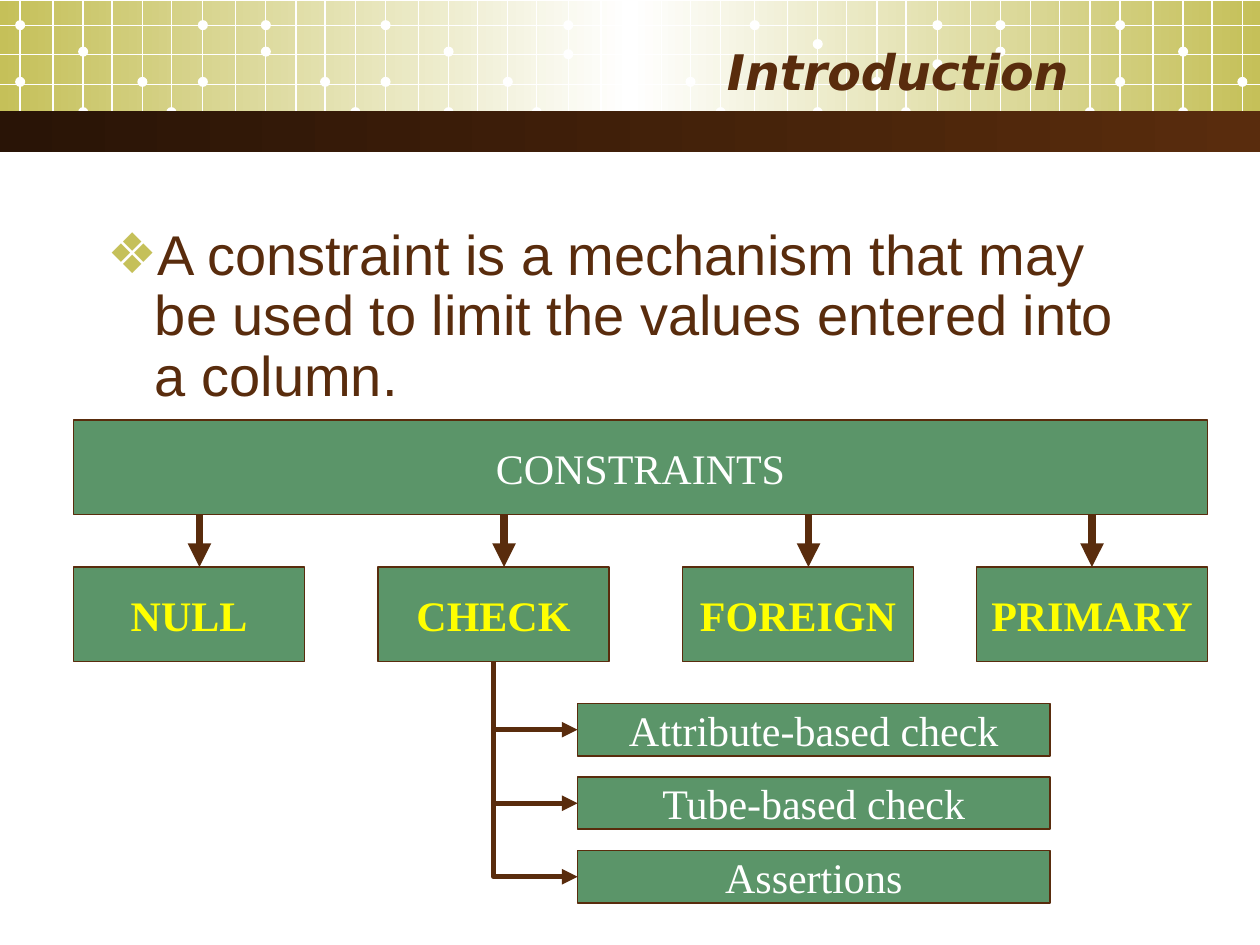
import copy
from dataclasses import dataclass

import pptx
import pptx.dml.color
import pptx.enum.shapes
import pptx.enum.text
import pptx.oxml
import pptx.oxml.ns
import pptx.util

Align = pptx.enum.text.PP_ALIGN
Anchor = pptx.enum.text.MSO_ANCHOR
Shape = pptx.enum.shapes.MSO_SHAPE
Connector = pptx.enum.shapes.MSO_CONNECTOR
qn = pptx.oxml.ns.qn
Inches = pptx.util.Inches


@dataclass(frozen=True)
class Theme:
    brown: str = "592C0D"
    dark_brown: str = "291406"
    olive: str = "C5C059"
    green: str = "5B9569"
    white: str = "FFFFFF"
    yellow: str = "FFFF00"
    title_size: int = 28
    body_size: int = 32
    box_size: int = 24
    title_font: str = "DejaVu Sans"
    body_font: str = "Arial"
    box_font: str = "Times New Roman"


THEME = Theme()

# Header mesh: one tile of columns repeats along the band.
TILE_STARTS = [0.16, 3.06, 5.99, 8.89]
TILE_COLUMNS = [0, 0.26, 0.5, 0.73, 0.97, 1.2, 1.45, 1.71, 1.95, 2.19, 2.42, 2.66]
MESH_ROWS = [0.2, 0.43, 0.67, 0.89]
DOT_ROWS = {0: (0.2, 0.65), 2: (0.41, 0.89), 4: (0.65,), 5: (0.89,),
            6: (0.2, 0.65), 8: (0.2, 0.41), 10: (0.65,), 11: (0.89,)}
DOT_EXCEPTIONS = {(1, 6): (0.2, 0.43), (2, 2): (0.35, 0.89), (2, 6): (0.2, 0.51)}
DOT_SIZE = 0.08


def cells(count):
    """Length of a number of diagram grid cells, twelve to the inch."""
    return Inches(count / 12)


def rgb(value):
    return pptx.dml.color.RGBColor.from_string(value)


def assign(target, **values):
    for name, value in values.items():
        setattr(target, name, value)


def style_run(run, color, **values):
    assign(run.font, **values)
    run.font.color.rgb = rgb(color)


def fill_gradient(shape, colors):
    """Fill from left to right with evenly spaced colour stops."""
    shape.fill.gradient()
    shape.fill.gradient_angle = 0
    stops = shape._element.spPr.find(qn("a:gradFill")).find(qn("a:gsLst"))
    for stop in list(stops):
        stops.remove(stop)
    for index, color in enumerate(colors):
        stop = pptx.oxml.parse_xml(
            f'<a:gs {pptx.oxml.ns.nsdecls("a")} pos="{index * 100000 // (len(colors) - 1)}">'
            f'<a:srgbClr val="{color}"/></a:gs>')
        stops.append(stop)


def add_plain(shapes, preset, bounds, color=None):
    shape = shapes.add_shape(preset, *bounds)
    shape.shadow.inherit = False
    shape.line.fill.background()
    if color:
        shape.fill.solid()
        shape.fill.fore_color.rgb = rgb(color)
    return shape


def add_line(shapes, start, end, color, width, arrow=False, kind=Connector.STRAIGHT):
    line = shapes.add_connector(kind, *start, *end)
    line.line.color.rgb = rgb(color)
    line.line.width = pptx.util.Pt(width)
    if arrow:
        head = line.line._get_or_add_ln().makeelement(qn("a:tailEnd"), {"type": "triangle"})
        line.line._get_or_add_ln().append(head)
    properties = line._element.spPr
    properties.append(properties.makeelement(qn("a:effectLst"), {}))
    return line


def add_elbow(shapes, start, end):
    """Arrow that runs down from start, then right to end."""
    elbow = add_line(shapes, start, end, THEME.brown, 3, True, Connector.ELBOW)
    across, down = end[0] - start[0], end[1] - start[1]
    assign(elbow, left=start[0] + (across - down) // 2,
           top=start[1] + (down - across) // 2, width=down, height=across)
    properties = elbow._element.spPr
    properties.find(qn("a:prstGeom")).set("prst", "bentConnector2")
    turn = properties.find(qn("a:xfrm"))
    turn.set("rot", "16200000")
    turn.set("flipH", "1")


def add_box(shapes, label, column, row, columns, rows, color=THEME.white, bold=False):
    box = add_plain(shapes, Shape.RECTANGLE, map(cells, (column, row, columns, rows)),
                    THEME.green)
    box.line.color.rgb = rgb(THEME.brown)
    box.line.width = pptx.util.Pt(1)
    assign(box.text_frame, word_wrap=False, vertical_anchor=Anchor.MIDDLE)
    paragraph = box.text_frame.paragraphs[0]
    paragraph.alignment = Align.CENTER
    run = paragraph.add_run()
    run.text = label
    style_run(run, color, name=THEME.box_font, size=pptx.util.Pt(THEME.box_size), bold=bold)


def add_header(slide, width):
    band = slide.shapes.add_group_shape()
    mesh = band.shapes
    backdrop = add_plain(mesh, Shape.RECTANGLE, (0, Inches(0.01), width, Inches(1.02)))
    fill_gradient(backdrop, (THEME.olive, THEME.white, THEME.olive))
    for tile, start in enumerate(TILE_STARTS):
        for index, offset in enumerate(TILE_COLUMNS):
            x = start + offset
            if Inches(x) > width:
                break
            add_line(mesh, (Inches(x), 0), (Inches(x), Inches(1.1)), THEME.white, 0.75)
            for y in DOT_EXCEPTIONS.get((tile, index), DOT_ROWS.get(index, ())):
                corner = Inches(x - DOT_SIZE / 2), Inches(y - DOT_SIZE / 2)
                add_plain(mesh, Shape.OVAL, (*corner, Inches(DOT_SIZE), Inches(DOT_SIZE)),
                          THEME.white)
    for y in MESH_ROWS:
        add_line(mesh, (0, Inches(y)), (width, Inches(y)), THEME.white, 0.75)
    bar = add_plain(mesh, Shape.RECTANGLE, (0, Inches(0.88), width, Inches(0.33)))
    fill_gradient(bar, (THEME.dark_brown, THEME.brown))
    slide.shapes._spTree.insert(2, band._element)


def fill_placeholder(holder, text, bounds, anchor, color, **font):
    assign(holder, **dict(zip(("left", "top", "width", "height"), map(Inches, bounds))))
    holder.text_frame.text = text
    assign(holder.text_frame, word_wrap=True, vertical_anchor=anchor,
           auto_size=pptx.enum.text.MSO_AUTO_SIZE.NONE)
    paragraph = holder.text_frame.paragraphs[0]
    style_run(paragraph.runs[0], color, **font)
    return paragraph


def add_bullet(paragraph, symbol, color, indent):
    properties = paragraph._p.get_or_add_pPr()
    properties.set("marL", str(Inches(indent)))
    properties.set("indent", str(-Inches(indent)))
    tint = properties.makeelement(qn("a:buClr"), {})
    tint.append(tint.makeelement(qn("a:srgbClr"), {"val": color}))
    properties.append(tint)
    properties.append(properties.makeelement(qn("a:buChar"), {"char": symbol}))


def add_diagram(shapes):
    add_box(shapes, "CONSTRAINTS", 7, 40, 108, 9)
    kinds = [("NULL", 7, 19), ("CHECK", 36, 48), ("FOREIGN", 65, 77), ("PRIMARY", 93, 104)]
    for label, column, arrow_column in kinds:
        add_box(shapes, label, column, 54, 22, 9, THEME.yellow, True)
        add_line(shapes, (cells(arrow_column), cells(49)), (cells(arrow_column), cells(54)),
                 THEME.brown, 4.5, True)
    for index, label in enumerate(("Attribute-based check", "Tube-based check", "Assertions")):
        row = 67 + 7 * index
        add_box(shapes, label, 55, row, 45, 5)
        add_elbow(shapes, (cells(47), cells(63)), (cells(55), cells(row + 2.5)))


def main():
    deck = pptx.Presentation()
    assign(deck, slide_width=Inches(10), slide_height=Inches(7.5))
    slide = deck.slides.add_slide(deck.slide_layouts[1])
    add_header(slide, deck.slide_width)
    title = fill_placeholder(
        slide.shapes.title, "Introduction", (0.5, 0.25, 8.08, 0.62), Anchor.MIDDLE, THEME.brown,
        name=THEME.title_font, size=pptx.util.Pt(THEME.title_size), bold=True, italic=True)
    title.alignment = Align.RIGHT
    definition = fill_placeholder(
        slide.placeholders[1],
        "A constraint is a mechanism that may be used to limit the values entered into a column.",
        (0.75, 1.75, 8.5, 1.67), Anchor.TOP, THEME.brown,
        name=THEME.body_font, size=pptx.util.Pt(THEME.body_size))
    assign(definition, line_spacing=0.9, space_before=pptx.util.Pt(8))
    add_bullet(definition, "❖", THEME.olive, 0.38)
    add_diagram(slide.shapes)
    deck.save("out.pptx")


if __name__ == "__main__":
    main()
